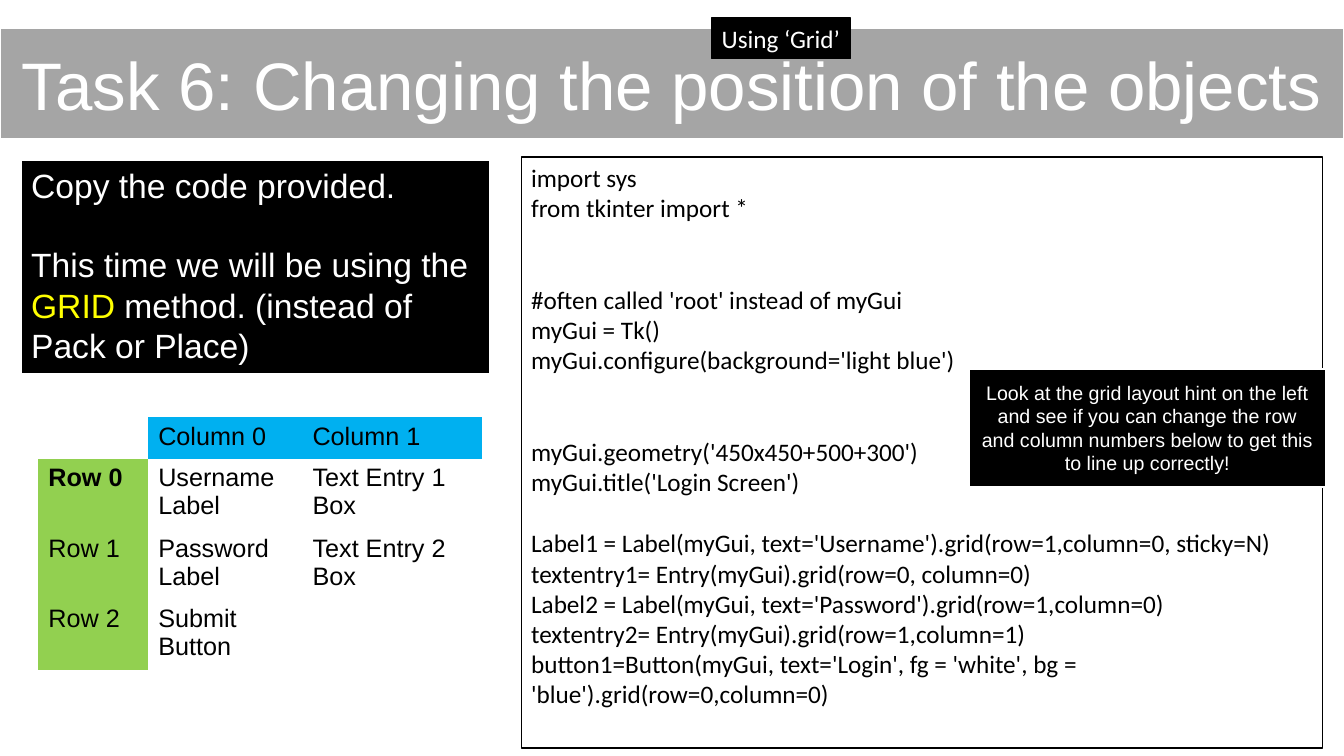
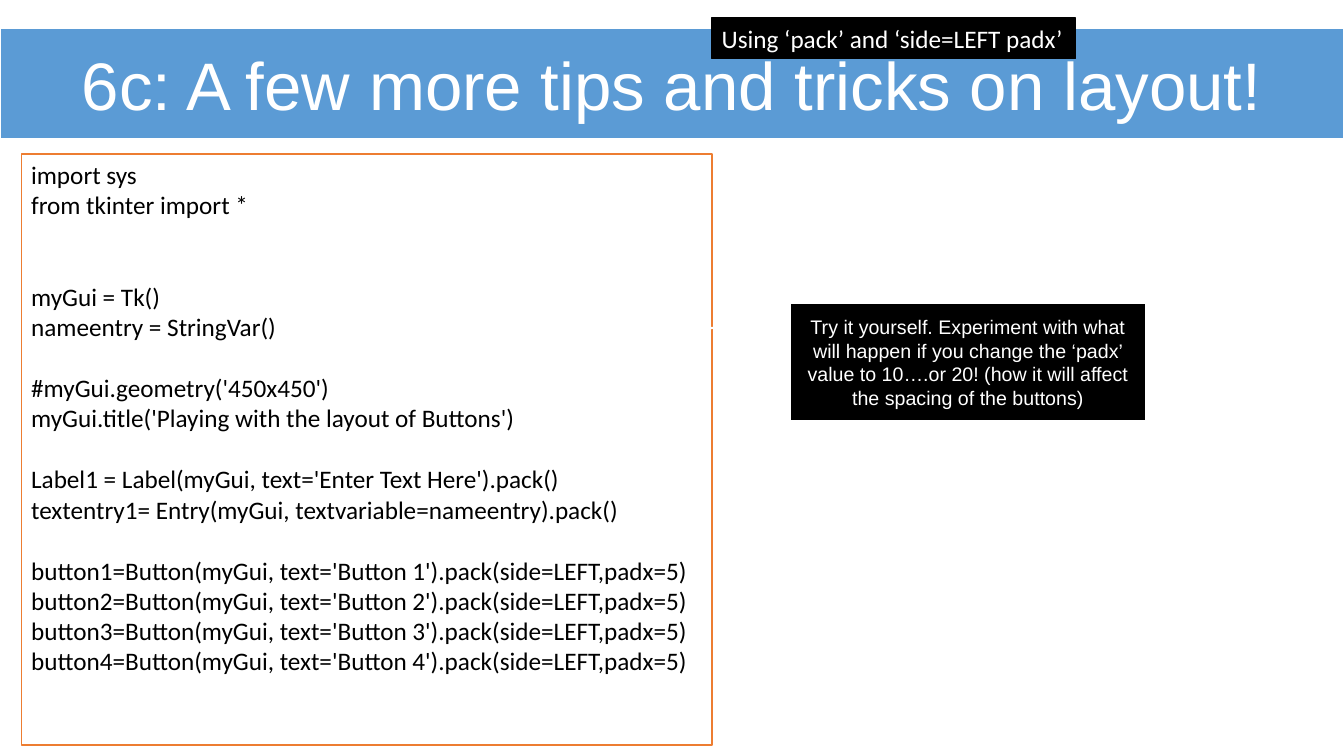
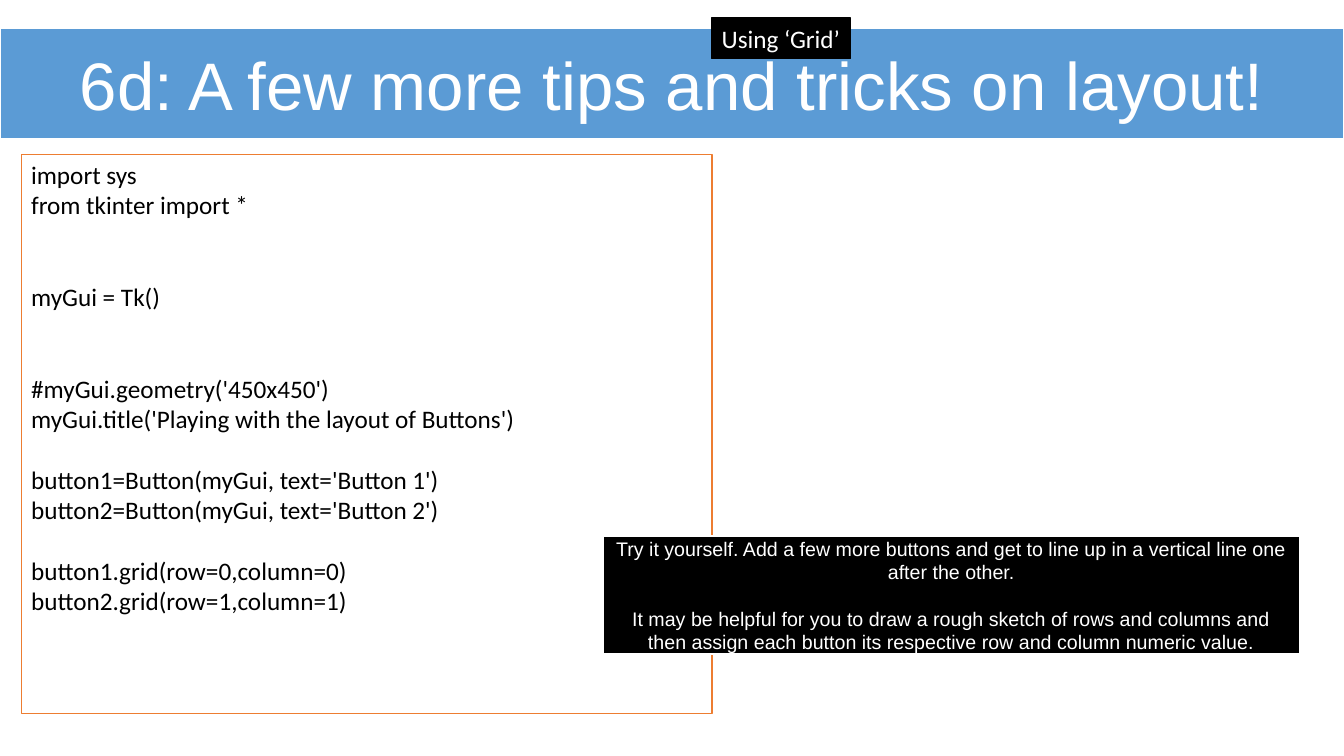
"""Build three lesson slides about laying out tkinter objects."""
from pptx import Presentation
from pptx.dml.color import RGBColor
from pptx.enum.shapes import MSO_SHAPE
from pptx.enum.text import MSO_ANCHOR, PP_ALIGN
from pptx.util import Inches, Pt

RECTANGLE = MSO_SHAPE.RECTANGLE
CALLOUT = MSO_SHAPE.LINE_CALLOUT_1_BORDER_AND_ACCENT_BAR
TOP, MIDDLE = MSO_ANCHOR.TOP, MSO_ANCHOR.MIDDLE
LEFT, CENTER = PP_ALIGN.LEFT, PP_ALIGN.CENTER

COLORS = {
    "white": "FFFFFF", "black": "000000", "grey": "A5A5A5", "blue": "5B9BD5",
    "orange": "ED7D31", "yellow": "FFFF00", "sky": "00B0F0", "green": "92D050",
}
RGB = {name: RGBColor.from_string(value) for name, value in COLORS.items()}

STYLES = {
    "title": {"name": "Arial", "size": 48, "color": "white", "line": "white",
              "weight": 1.5, "align": CENTER, "anchor": MIDDLE, "wrap": True},
    "task": {"name": "Arial", "size": 24, "color": "white", "line": "white",
             "weight": 1.5, "align": LEFT, "anchor": TOP, "wrap": True},
    "code": {"name": "Calibri", "size": 18, "color": "black", "line": "orange",
             "weight": 1, "align": LEFT, "anchor": TOP, "wrap": True},
    "label": {"name": "Calibri", "size": 18, "color": "white", "line": "black",
              "weight": 1, "align": LEFT, "anchor": TOP, "wrap": False},
    "hint": {"name": "Arial", "size": 14, "color": "white", "line": "white",
             "weight": 1.5, "align": CENTER, "anchor": MIDDLE, "wrap": True},
}
STYLES["black code"] = {**STYLES["code"], "line": "black"}
LINE_HEIGHT = {"Arial": 1.15, "Calibri": 1.22}

deck = Presentation()
deck.slide_width, deck.slide_height = Inches(13.33), Inches(7.5)
BLANK = deck.slide_layouts[6]


def share(left, top, width, height):
    """Turn percentages of the slide into lengths."""
    across, down = deck.slide_width / 100, deck.slide_height / 100
    return [round(part) for part in (left * across, top * down, width * across, height * down)]


def add_box(page, kind, place, fill, style_name, blocks):
    """Add a filled shape whose blocks are (blank lines above, lines of text)."""
    style = STYLES[style_name]
    box = page.shapes.add_shape(kind, *share(*place))
    box.shadow.inherit = False
    box.fill.solid()
    box.fill.fore_color.rgb = RGB[fill]
    box.line.color.rgb = RGB[style["line"]]
    box.line.width = Pt(style["weight"])
    frame = box.text_frame
    frame.word_wrap, frame.vertical_anchor = style["wrap"], style["anchor"]
    lines = [(gap if number == 0 else 0, line)
             for gap, block in blocks for number, line in enumerate(block)]
    for number, (gap, line) in enumerate(lines):
        para = frame.add_paragraph() if number else frame.paragraphs[0]
        para.alignment = style["align"]
        para.space_before = Pt(round(gap * style["size"] * LINE_HEIGHT[style["name"]], 1))
        spans = [(line, style["color"])] if isinstance(line, str) else line
        for text, color in spans:
            span = para.add_run()
            span.text = text
            span.font.name, span.font.size = style["name"], Pt(style["size"])
            span.font.color.rgb = RGB[color]
    return box


IMPORTS = (0, ["import sys", "from tkinter import *"])
WINDOW = ["#myGui.geometry('450x450')", "myGui.title('Playing with the layout of Buttons')"]

LESSONS = [
    {
        "title": "Task 6: Changing the position of the objects", "band": "grey",
        "label": "Using ‘Grid’", "label width": 10.35,
        "code style": "black code", "code place": (38.78, 20.8, 59.64, 78.13),
        "code": [
            IMPORTS,
            (2, ["#often called 'root' instead of myGui", "myGui = Tk()",
                 "myGui.configure(background='light blue')"]),
            (2, ["myGui.geometry('450x450+500+300')", "myGui.title('Login Screen')"]),
            (1, ["Label1 = Label(myGui, text='Username').grid(row=1,column=0, sticky=N)",
                 "textentry1= Entry(myGui).grid(row=0, column=0)",
                 "Label2 = Label(myGui, text='Password').grid(row=1,column=0)",
                 "textentry2= Entry(myGui).grid(row=1,column=1)",
                 "button1=Button(myGui, text='Login', fg = 'white', bg = 'blue')"
                 ".grid(row=0,column=0)"]),
        ],
        "hint place": (72.09, 48.8, 26.56, 15.6), "pointer": (-0.92, 0.19),
        "hint": [(0, ["Look at the grid layout hint on the left and see if you can change the row "
                      "and column numbers below to get this to line up correctly!"])],
    },
    {
        "title": "6c: A few more tips and tricks on layout!", "band": "blue",
        "label": "Using ‘pack’ and ‘side=LEFT padx’", "label width": 27.08,
        "code style": "code", "code place": (1.58, 20.4, 51.39, 78.13),
        "code": [
            IMPORTS,
            (2, ["myGui = Tk()", "nameentry = StringVar()"]),
            (1, WINDOW),
            (1, ["Label1 = Label(myGui, text='Enter Text Here').pack()",
                 "textentry1= Entry(myGui, textvariable=nameentry).pack()"]),
            (1, [f"button{number}=Button(myGui, text='Button {number}').pack(side=LEFT,padx=5)"
                 for number in range(1, 5)]),
        ],
        "hint place": (58.74, 40.13, 26.56, 15.6), "pointer": (0.28, -0.59),
        "hint": [(0, ["Try it yourself. Experiment with what will happen if you change the ‘padx’ "
                      "value to 10….or 20! (how it will affect the spacing of the buttons)"])],
    },
    {
        "title": "6d: A few more tips and tricks on layout!", "band": "blue",
        "label": "Using ‘Grid’", "label width": 10.35,
        "code style": "code", "code place": (1.58, 20.4, 51.39, 74),
        "code": [
            IMPORTS,
            (2, ["myGui = Tk()"]),
            (2, WINDOW),
            (1, [f"button{number}=Button(myGui, text='Button {number}')" for number in (1, 2)]),
            (1, ["button1.grid(row=0,column=0)", "button2.grid(row=1,column=1)"]),
        ],
        "hint place": (44.86, 70.93, 51.84, 15.6), "pointer": (0.5, -0.32),
        "hint": [(0, ["Try it yourself. Add a few more buttons and get to line up in a vertical "
                      "line one after the other."]),
                 (1, ["It may be helpful for you to draw a rough sketch of rows and columns and then "
                      "assign each button its respective row and column numeric value."])],
    },
]
LESSONS[1]["pointer"] = (0.28, -0.67)

for lesson in LESSONS:
    page = deck.slides.add_slide(BLANK)
    add_box(page, RECTANGLE, (0, 3.73, 100, 14.67), lesson["band"], "title",
            [(0, [lesson["title"]])])
    add_box(page, RECTANGLE, lesson["code place"], "white", lesson["code style"], lesson["code"])
    add_box(page, RECTANGLE, (52.96, 2.4, lesson["label width"], 5.33), "black", "label",
            [(0, [lesson["label"]])])
    callout = add_box(page, CALLOUT, lesson["hint place"], "black", "hint", lesson["hint"])
    callout.adjustments[2], callout.adjustments[3] = lesson["pointer"]

page = deck.slides[0]
add_box(page, RECTANGLE, (1.58, 21.2, 34.88, 28.27), "black", "task", [
    (0, ["Copy the code provided."]),
    (1, [[("This time we will be using the ", "white"), ("GRID", "yellow"),
          (" method. (instead of Pack or Place)", "white")]]),
])

GRID_ROWS = [
    ["", "Column 0", "Column 1"],
    ["Row 0", "Username Label", "Text Entry 1 Box"],
    ["Row 1", "Password Label", "Text Entry 2 Box"],
    ["Row 2", "Submit Button", ""],
]
NO_STYLE = "{2D5ABB26-0587-4C30-8999-92F81FD0307C}"
COLUMN_SHARES = [8.18, 11.48, 13.35]
ROW_SHARES = [5.47, 9.33, 9.33, 9.33]
frame = page.shapes.add_table(
    4, 3, *share(2.85, 55.2, sum(COLUMN_SHARES), sum(ROW_SHARES)))
table = frame.table
table.first_row = table.horz_banding = False
table._tbl.tblPr[0].text = NO_STYLE
for column, width in zip(table.columns, COLUMN_SHARES):
    column.width = round(deck.slide_width * width / 100)
for row, height in zip(table.rows, ROW_SHARES):
    row.height = round(deck.slide_height * height / 100)
for row_number, texts in enumerate(GRID_ROWS):
    for column_number, text in enumerate(texts):
        cell = table.cell(row_number, column_number)
        if (row_number == 0) != (column_number == 0):
            cell.fill.solid()
            cell.fill.fore_color.rgb = RGB["sky" if row_number == 0 else "green"]
        else:
            cell.fill.background()
        para = cell.text_frame.paragraphs[0]
        para.font.size = Pt(18)
        if text:
            span = para.add_run()
            span.text = text
            span.font.name, span.font.size = "Arial", Pt(18)
            span.font.bold = text == "Row 0"
            span.font.color.rgb = RGB["black"]

deck.save("out.pptx")
